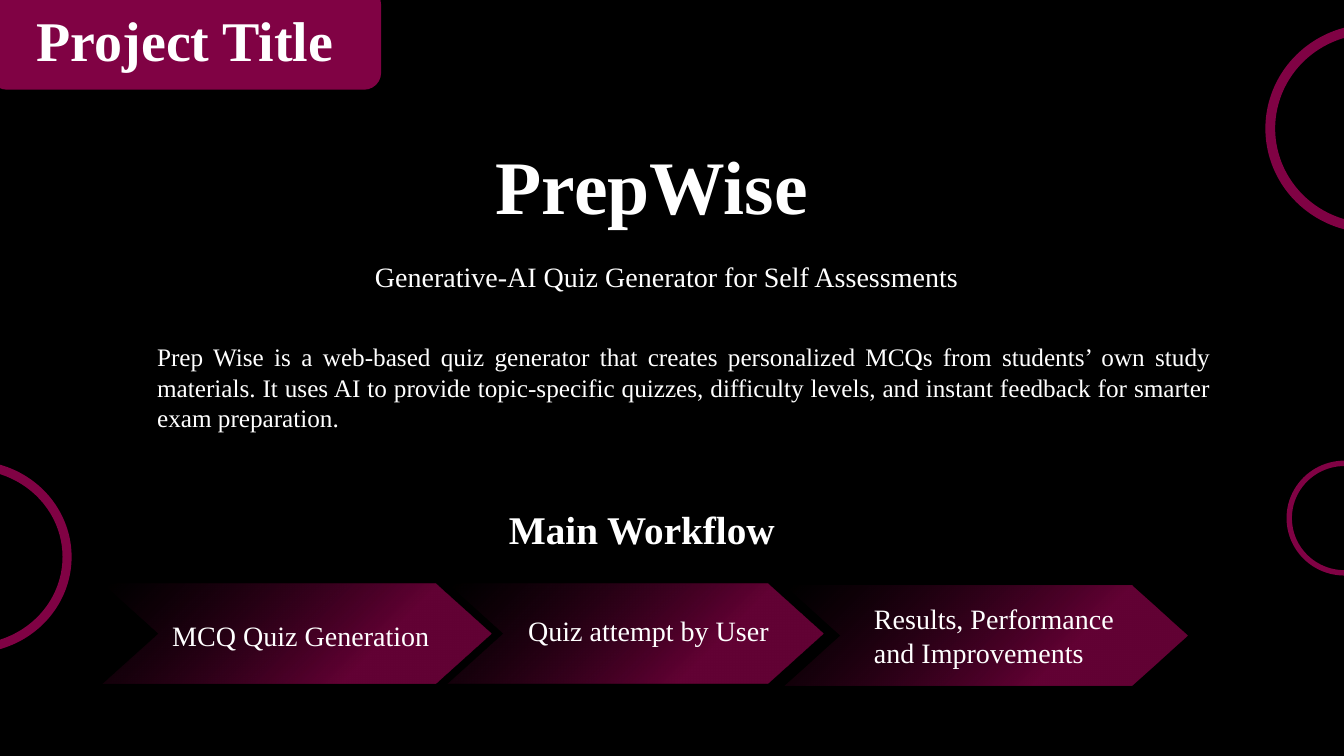
"""Build the project title slide with its three-step workflow."""
from lxml.etree import SubElement
from pptx import Presentation
from pptx.dml.color import RGBColor
from pptx.enum.shapes import MSO_SHAPE
from pptx.enum.text import MSO_ANCHOR, MSO_AUTO_SIZE, PP_ALIGN
from pptx.oxml.ns import qn
from pptx.util import Inches, Pt

WIDTH, HEIGHT = 13.33, 7.5
FONT, BLACK, WHITE, PLUM = "Times New Roman", "000000", "FFFFFF", "800244"
CENTER, LEFT, JUSTIFY = PP_ALIGN.CENTER, PP_ALIGN.LEFT, PP_ALIGN.JUSTIFY

TITLE = ("Project Title", (-0.21, 0, 4.09, 0.77))
TAB = (-0.1, -0.12, 3.88, 1.01)
RINGS = [(-1.28, 4.57, 1.99, 1.91), (12.55, 0.24, 2.11, 2.07), (12.76, 4.57, 1.15, 1.14)]
TEXTS = [
    (["PrepWise"], (4.66, 1.33, 3.61, 1.01), 54, True, CENTER),
    (["Generative-AI Quiz Generator for Self Assessments"],
     (3.62, 2.53, 6.14, 0.44), 20, False, LEFT),
    (["Prep Wise is a web-based quiz generator that creates personalized MCQs from "
      "students’ own study materials. It uses AI to provide topic-specific quizzes, "
      "difficulty levels, and instant feedback for smarter exam preparation."],
     (1.46, 3.34, 10.65, 1.01), 18, False, JUSTIFY),
    (["Main Workflow"], (4.32, 4.96, 4.09, 0.57), 28, True, CENTER),
]
STEPS = [
    (["MCQ Quiz Generation"], (1.02, 5.79, 3.85, 0.99), (1.61, 6.09, 2.95, 0.44)),
    (["Quiz attempt by User"], (4.44, 5.79, 3.73, 0.99), (5.14, 6.04, 2.64, 0.44)),
    (["Results, Performance", "and Improvements"],
     (7.78, 5.81, 4, 0.99), (8.57, 5.92, 3.34, 0.77)),
]
GRADIENT = [(0, BLACK, 41), (0.69, PLUM, 76)]


def color(value):
    return RGBColor.from_string(value)


def add_plain_shape(page, kind, area, adjustment=None):
    shape = page.shapes.add_shape(kind, *map(Inches, area))
    shape.shadow.inherit = False
    shape.line.fill.background()
    shape.fill.solid()
    shape.fill.fore_color.rgb = color(PLUM)
    if adjustment is not None:
        shape.adjustments[0] = adjustment
    return shape


def write(box, lines, size, bold, alignment):
    frame = box.text_frame
    frame.word_wrap = True
    frame.auto_size = MSO_AUTO_SIZE.NONE
    frame.vertical_anchor = MSO_ANCHOR.TOP
    frame.text = "\n".join(lines)
    for para in frame.paragraphs:
        para.alignment = alignment
        para.font.name = FONT
        para.font.size = Pt(size)
        para.font.bold = bold
        para.font.color.rgb = color(WHITE)


def add_text(page, lines, area, size, bold, alignment):
    write(page.shapes.add_textbox(*map(Inches, area)), lines, size, bold, alignment)


def fade(shape):
    shape.fill.gradient()
    shape.fill.gradient_angle = 315
    for stop, (position, value, opacity) in zip(shape.fill.gradient_stops, GRADIENT):
        stop.position = position
        stop.color.rgb = color(value)
    for tint, (position, value, opacity) in zip(shape._element.spPr.iter(qn("a:srgbClr")), GRADIENT):
        SubElement(tint, qn("a:alpha")).set("val", str(opacity * 1000))


def main():
    deck = Presentation()
    deck.slide_width, deck.slide_height = Inches(WIDTH), Inches(HEIGHT)
    page = deck.slides.add_slide(deck.slide_layouts[5])
    page.background.fill.solid()
    page.background.fill.fore_color.rgb = color(BLACK)

    for area in RINGS:
        add_plain_shape(page, MSO_SHAPE.DONUT, area, 0.047)
    add_plain_shape(page, MSO_SHAPE.ROUNDED_RECTANGLE, TAB)

    heading, area = TITLE
    title = page.shapes.title
    title.left, title.top, title.width, title.height = map(Inches, area)
    write(title, [heading], 40, True, CENTER)
    title._element.getparent().append(title._element)

    for text in TEXTS:
        add_text(page, *text)
    for lines, arrow, label in STEPS:
        fade(add_plain_shape(page, MSO_SHAPE.CHEVRON, arrow, 0.559))
        add_text(page, lines, label, 20, False, LEFT)
    deck.save("out.pptx")


if __name__ == "__main__":
    main()
